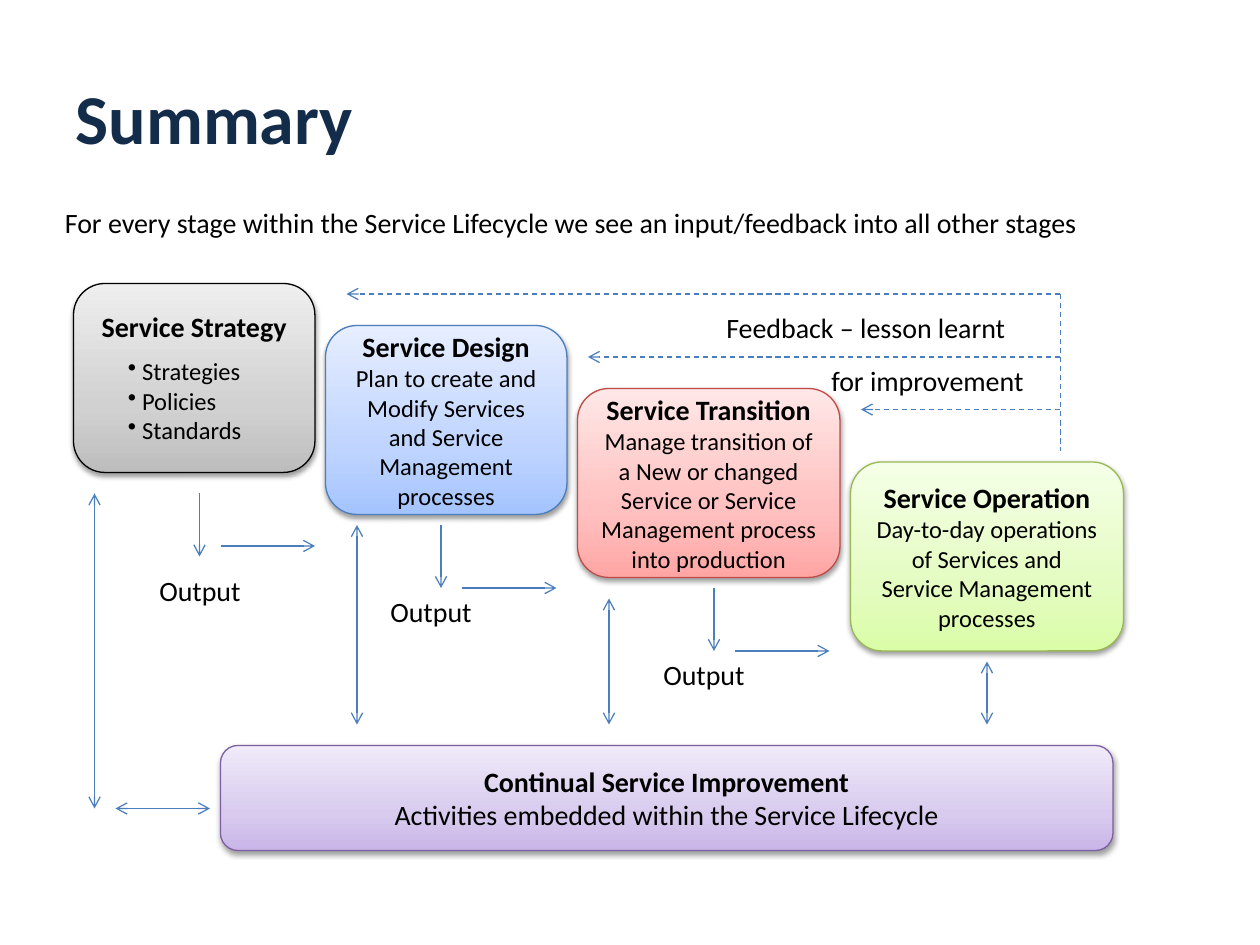
"""Build the service lifecycle summary slide."""
from copy import deepcopy

from lxml import etree
from pptx import Presentation
from pptx.dml.color import RGBColor
from pptx.enum import dml, shapes, text
from pptx.oxml import ns
from pptx.util import Pt

BLACK = RGBColor(0, 0, 0)
NAVY = RGBColor(0x13, 0x2C, 0x4A)
BLUE = RGBColor(0x4B, 0x7E, 0xBC)
RED = RGBColor(0xBF, 0x4C, 0x48)
GREEN = RGBColor(0x98, 0xB9, 0x55)
PURPLE = RGBColor(0x7D, 0x60, 0xA0)
GREYS = [RGBColor(0xBD, 0xBD, 0xBD), RGBColor(0xD1, 0xD1, 0xD1), RGBColor(0xEE, 0xEE, 0xEE)]
BLUES = [RGBColor(0xA4, 0xC4, 0xFF), RGBColor(0xBF, 0xD4, 0xFF), RGBColor(0xE6, 0xEE, 0xFF)]
REDS = [RGBColor(0xFF, 0xA6, 0xA5), RGBColor(0xFF, 0xC0, 0xBF), RGBColor(0xFF, 0xE7, 0xE7)]
GREENS = [RGBColor(0xDA, 0xFD, 0xA7), RGBColor(0xE4, 0xFC, 0xC2), RGBColor(0xF5, 0xFF, 0xE7)]
PURPLES = [RGBColor(0xC9, 0xB5, 0xE8), RGBColor(0xD8, 0xCB, 0xEE), RGBColor(0xF0, 0xEA, 0xF9)]
SHADOW = (
    f'<a:outerShdw {ns.nsdecls("a")} blurRad="{Pt(3.1)}" dist="{Pt(1.6)}" dir="5400000" '
    'rotWithShape="0"><a:srgbClr val="000000"><a:alpha val="38000"/></a:srgbClr></a:outerShdw>'
)

deck = Presentation()
deck.slide_width, deck.slide_height = Pt(720), Pt(540)
slide = deck.slides.add_slide(deck.slide_layouts[5])


def write(frame, lines, align):
    """Fill a text frame with (words, size, bold) lines."""
    for i, (words, size, bold) in enumerate(lines):
        para = frame.paragraphs[0] if i == 0 else frame.add_paragraph()
        para.alignment = align
        run = para.add_run()
        run.text = words
        font = run.font
        font.name, font.size, font.bold = "Calibri", Pt(size), bold
        font.color.rgb = BLACK


def link(x1, y1, x2, y2, ends=(), dash=False):
    """Draw a thin blue line with open arrowheads at the given ends."""
    wire = slide.shapes.add_connector(
        shapes.MSO_CONNECTOR.STRAIGHT, Pt(x1), Pt(y1), Pt(x2), Pt(y2))
    wire.line.color.rgb = BLUE
    wire.line.width = Pt(0.75)
    if dash:
        wire.line.dash_style = dml.MSO_LINE.DASH
    props = wire._element.spPr
    for end in ends:
        etree.SubElement(props.find(ns.qn("a:ln")), ns.qn(f"a:{end}End"), type="arrow")
    etree.SubElement(props, ns.qn("a:effectLst"))


title = slide.shapes.title
title.left, title.top, title.width, title.height = Pt(36), Pt(21.6), Pt(648), Pt(90)
title.text_frame.vertical_anchor = text.MSO_ANCHOR.MIDDLE
write(title.text_frame, [("Summary", 40, True)], text.PP_ALIGN.LEFT)
title.text_frame.paragraphs[0].runs[0].font.color.rgb = NAVY

stages = [
    (42, 162, 138, 108, GREYS, BLACK, [("Service Strategy", 16, True)]),
    (186, 186, 138, 108, BLUES, BLUE, [
        ("Service Design", 16, True),
        ("Plan to create and Modify Services and Service Management processes", 14, False)]),
    (330, 222, 150, 108, REDS, RED, [
        ("Service Transition", 16, True),
        ("Manage transition of a New or changed Service or Service "
         "Management process into production", 14, False)]),
    (486, 264, 156, 108, GREENS, GREEN, [
        ("Service Operation", 16, True),
        ("Day-to-day operations of Services and", 14, False),
        ("Service Management processes", 14, False)]),
    (126, 426, 510, 60, PURPLES, PURPLE, [
        ("Continual Service Improvement", 16, True),
        ("Activities embedded within the Service Lifecycle", 16, False)]),
]
for x, y, wide, high, tints, edge, lines in stages:
    box = slide.shapes.add_shape(
        shapes.MSO_SHAPE.ROUNDED_RECTANGLE, Pt(x), Pt(y), Pt(wide), Pt(high))
    box.fill.gradient()
    box.fill.gradient_angle = 90
    stops = box._element.spPr.find(".//" + ns.qn("a:gsLst"))
    stops.append(deepcopy(stops[0]))
    for stop, tint, place in zip(box.fill.gradient_stops, tints, (0, 0.35, 1)):
        stop.color.rgb = tint
        stop.position = place
    box.line.color.rgb = edge
    box.line.width = Pt(0.75)
    box.shadow.inherit = False
    box._element.spPr.find(ns.qn("a:effectLst")).append(etree.fromstring(SHADOW))
    frame = box.text_frame
    frame.word_wrap = True
    frame.vertical_anchor = text.MSO_ANCHOR.MIDDLE
    if len(lines) == 1:
        frame.vertical_anchor = text.MSO_ANCHOR.TOP
        frame.margin_top = Pt(9.7)
    write(frame, lines, text.PP_ALIGN.CENTER)

for x, top, side in [(114, 282, 312), (252, 300, 336), (408, 336, 372)]:
    link(x, top, x, top + 36, ["tail"])
    link(x + 12, side, x + 66, side, ["tail"])

for x, top, foot in [(54, 282, 462), (204, 300, 414), (348, 342, 414), (564, 378, 414)]:
    link(x, top, x, foot, ["head", "tail"])
link(66, 462, 120, 462, ["head", "tail"])

for x, y in [(198, 168), (336, 204), (492, 234)]:
    link(606, y, x, y, ["tail"], True)
link(606, 168, 606, 258, dash=True)

intro = "For every stage within the Service Lifecycle we see an input/feedback into all other stages"
labels = [
    (30, 114, 600, 26.6, 16, [intro]),
    (66, 200, 80, 58.3, 14, [" Strategies", " Policies", " Standards"]),
    (84, 324, 63.4, 26.6, 16, ["Output"]),
    (216, 336, 63.4, 26.6, 16, ["Output"]),
    (372, 372, 63.4, 26.6, 16, ["Output"]),
    (408, 174, 175.7, 26.6, 16, ["Feedback – lesson learnt"]),
    (468, 204, 126, 26.6, 16, ["for improvement"]),
]
for x, y, wide, high, size, rows in labels:
    note = slide.shapes.add_textbox(Pt(x), Pt(y), Pt(wide), Pt(high))
    frame = note.text_frame
    frame.word_wrap = False
    frame.auto_size = text.MSO_AUTO_SIZE.SHAPE_TO_FIT_TEXT
    write(frame, [(row, size, False) for row in rows], text.PP_ALIGN.LEFT)
    if len(rows) > 1:
        for para in frame.paragraphs:
            etree.SubElement(para._p.get_or_add_pPr(), ns.qn("a:buChar"), char="•")

deck.save("out.pptx")
